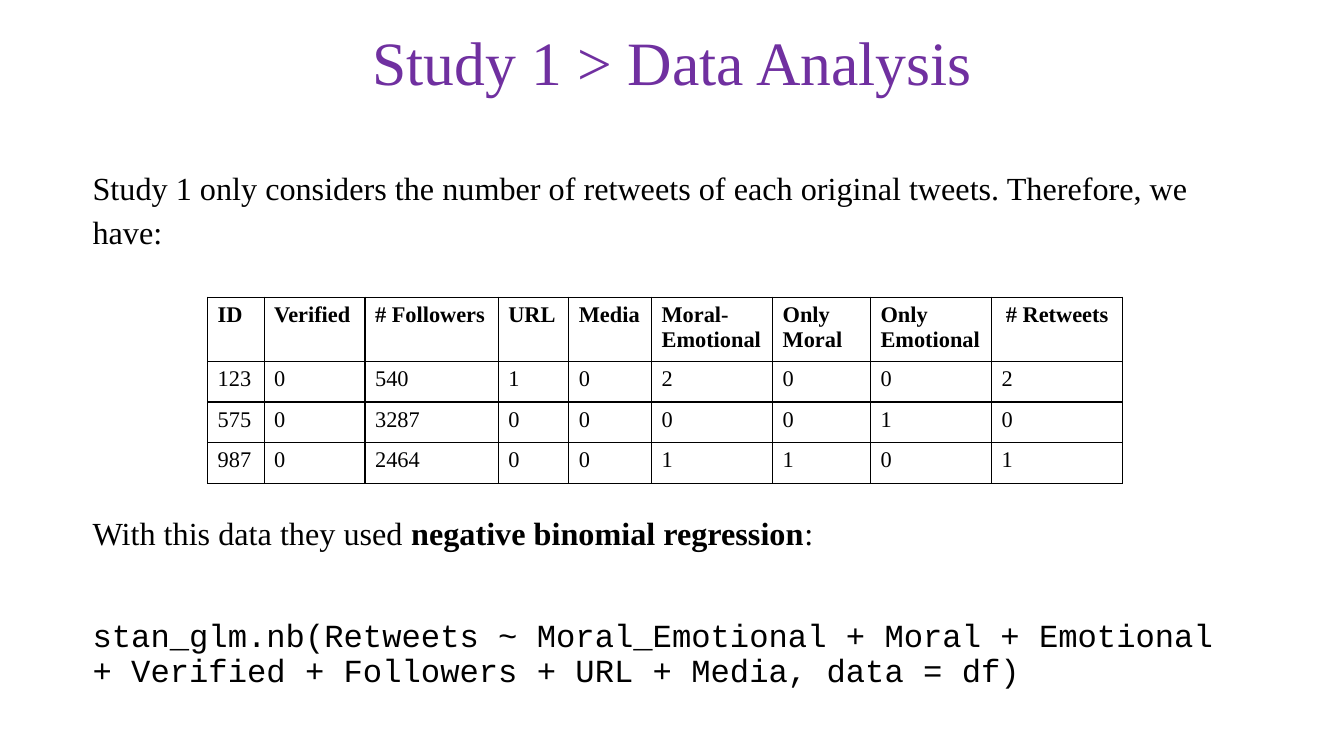
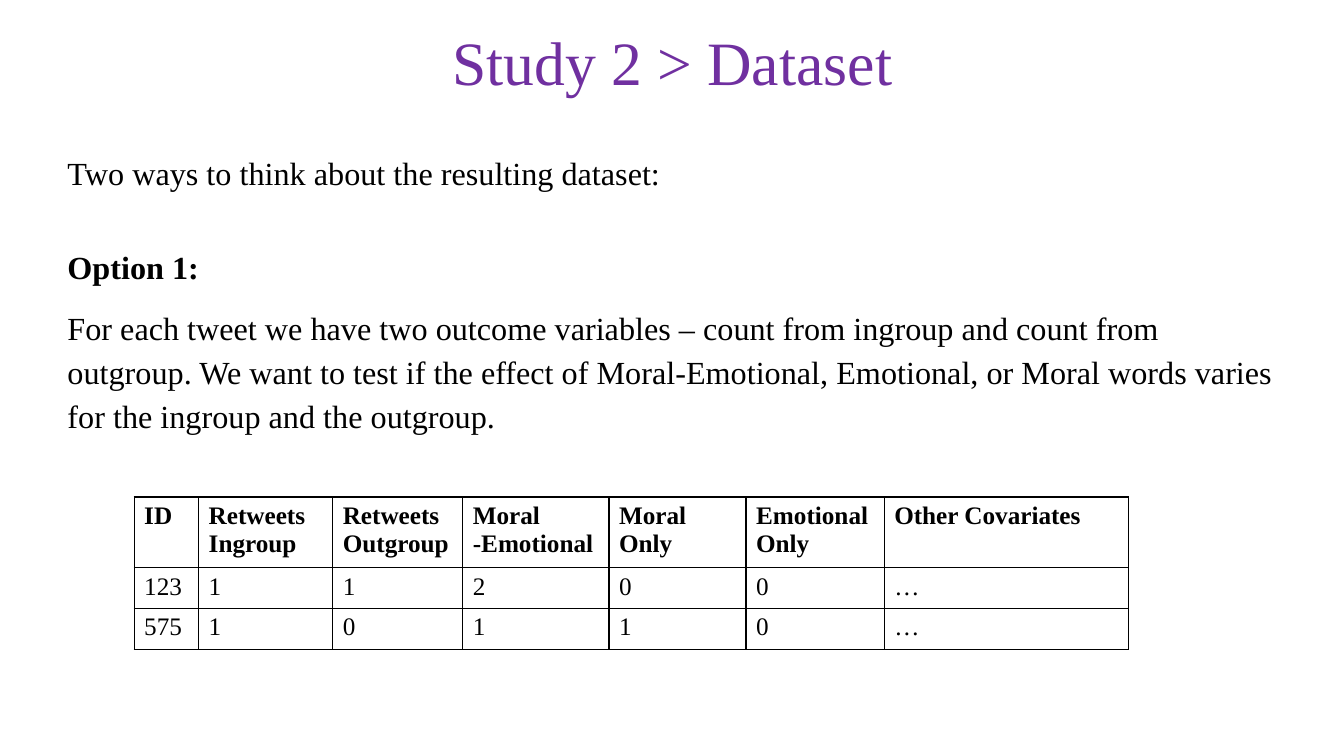
import pptx
import pptx.dml.color
import pptx.enum.text
import pptx.oxml
import pptx.oxml.ns
import pptx.util

COLOURS = {"title": "7030A0", "text": "000000", "border": "000000"}
SERIF = "Times New Roman"
MONO = "Courier New"
BODY_SIZE = 23
WIDTH = pptx.util.Inches(13.33)
HEIGHT = pptx.util.Inches(7.5)
CENTER = pptx.enum.text.PP_ALIGN.CENTER
MIDDLE = pptx.enum.text.MSO_ANCHOR.MIDDLE

TITLE_AREA = (6.9, 0.27, 86.27, 16.93)
HEADER_ROW = 8
DATA_ROW = 5.4


def across(share):
    return round(WIDTH * share / 100)


def down(share):
    return round(HEIGHT * share / 100)


def place(area):
    left, top, width, height = area
    return across(left), down(top), across(width), down(height)


def style(para, size, colour="text", name=SERIF, bold=False):
    para.font.size = pptx.util.Pt(size)
    para.font.name = name
    para.font.bold = bold
    para.font.color.rgb = pptx.dml.color.RGBColor.from_string(COLOURS[colour])


def add_page(deck, title):
    page = deck.slides.add_slide(deck.slide_layouts[5])
    box = page.shapes.title
    box.left, box.top, box.width, box.height = place(TITLE_AREA)
    box.text_frame.vertical_anchor = MIDDLE
    para = box.text_frame.paragraphs[0]
    para.text = title
    para.alignment = CENTER
    para.line_spacing = 0.9
    style(para, 44, "title")
    return page


def add_text(page, area, paragraphs):
    frame = page.shapes.add_textbox(*place(area)).text_frame
    frame.word_wrap = True
    for index, (spans, spacing, before, after, look) in enumerate(paragraphs):
        para = frame.paragraphs[0] if index == 0 else frame.add_paragraph()
        para.line_spacing = spacing
        para.space_before = pptx.util.Pt(before)
        para.space_after = pptx.util.Pt(after)
        style(para, BODY_SIZE, **look)
        for text, bold in spans:
            span = para.add_run()
            span.text = text
            if bold:
                span.font.bold = True


def outline(cell):
    properties = cell._tc.get_or_add_tcPr()
    namespace = pptx.oxml.ns.nsdecls("a")
    for position, side in enumerate(("lnL", "lnR", "lnT", "lnB")):
        line = pptx.oxml.parse_xml(
            f'<a:{side} {namespace} w="12700"><a:solidFill>'
            f'<a:srgbClr val="{COLOURS["border"]}"/></a:solidFill></a:{side}>'
        )
        properties.insert(position, line)


def add_table(page, left, top, width, weights, rows, size, centred=()):
    heights = [HEADER_ROW] + [DATA_ROW] * (len(rows) - 1)
    area = place((left, top, width, sum(heights)))
    table = page.shapes.add_table(len(rows), len(weights), *area).table
    table.first_row = False
    table.horz_banding = False
    for column, weight in zip(table.columns, weights):
        column.width = across(width * weight / sum(weights))
    for row, height in zip(table.rows, heights):
        row.height = down(height)
    for row_index, values in enumerate(rows):
        for column_index, value in enumerate(values):
            cell = table.cell(row_index, column_index)
            cell.fill.background()
            outline(cell)
            para = cell.text_frame.paragraphs[0]
            para.text = value
            if value in centred:
                para.alignment = CENTER
            style(para, size, bold=row_index == 0)


def build_analysis(deck):
    page = add_page(deck, "Study 1 > Data Analysis")
    intro = (
        "Study 1 only considers the number of retweets of each original tweets. "
        "Therefore, we have:"
    )
    add_text(page, (6.15, 20.93, 86.27, 14.53), [([(intro, False)], 1.14, 0, 0, {})])
    rows = [
        ["ID", "Verified", "# Followers", "URL", "Media", "Moral-Emotional",
         "Only Moral", "Only Emotional", "# Retweets"],
        ["123", "0", "540", "1", "0", "2", "0", "0", "2"],
        ["575", "0", "3287", "0", "0", "0", "0", "1", "0"],
        ["987", "0", "2464", "0", "0", "1", "1", "0", "1"],
    ]
    weights = [0.56, 1, 1.32, 0.7, 0.82, 1.2, 0.97, 1.2, 1.3]
    add_table(page, 15.45, 39.33, 68.1, weights, rows, 16, ("# Retweets",))
    method = [
        ("With this data they used ", False),
        ("negative binomial regression", True),
        (":", False),
    ]
    formula = (
        "stan_glm.nb(Retweets ~ Moral_Emotional + Moral + Emotional "
        "+ Verified + Followers + URL + Media, data = df)"
    )
    add_text(page, (6.15, 67.87, 86.27, 27), [
        (method, 0.9, 0, 0, {}),
        ([(formula, False)], 0.9, 48, 0, {"name": MONO}),
    ])


def build_dataset(deck):
    page = add_page(deck, "Study 2 > Dataset")
    outcome = (
        "For each tweet we have two outcome variables – count from ingroup and "
        "count from outgroup. We want to test if the effect of Moral-Emotional, "
        "Emotional, or Moral words varies for the ingroup and the outgroup."
    )
    add_text(page, (4.28, 18.93, 91.45, 45), [
        ([("Two ways to think about the resulting dataset:", False)], 1.14, 0, 6, {}),
        ([("Option 1:", False)], 2, 6, 6, {"bold": True}),
        ([(outcome, False)], 1.14, 6, 6, {}),
    ])
    rows = [
        ["ID", "Retweets Ingroup", "Retweets Outgroup", "Moral -Emotional",
         "Moral Only", "Emotional Only", "Other Covariates"],
        ["123", "1", "1", "2", "0", "0", "…"],
        ["575", "1", "0", "1", "1", "0", "…"],
    ]
    weights = [0.64, 1.33, 1.29, 1.45, 1.36, 1.37, 2.42]
    add_table(page, 9.98, 65.73, 73.97, weights, rows, 18)


def main():
    deck = pptx.Presentation()
    deck.slide_width = WIDTH
    deck.slide_height = HEIGHT
    build_analysis(deck)
    build_dataset(deck)
    deck.save("out.pptx")


if __name__ == "__main__":
    main()
